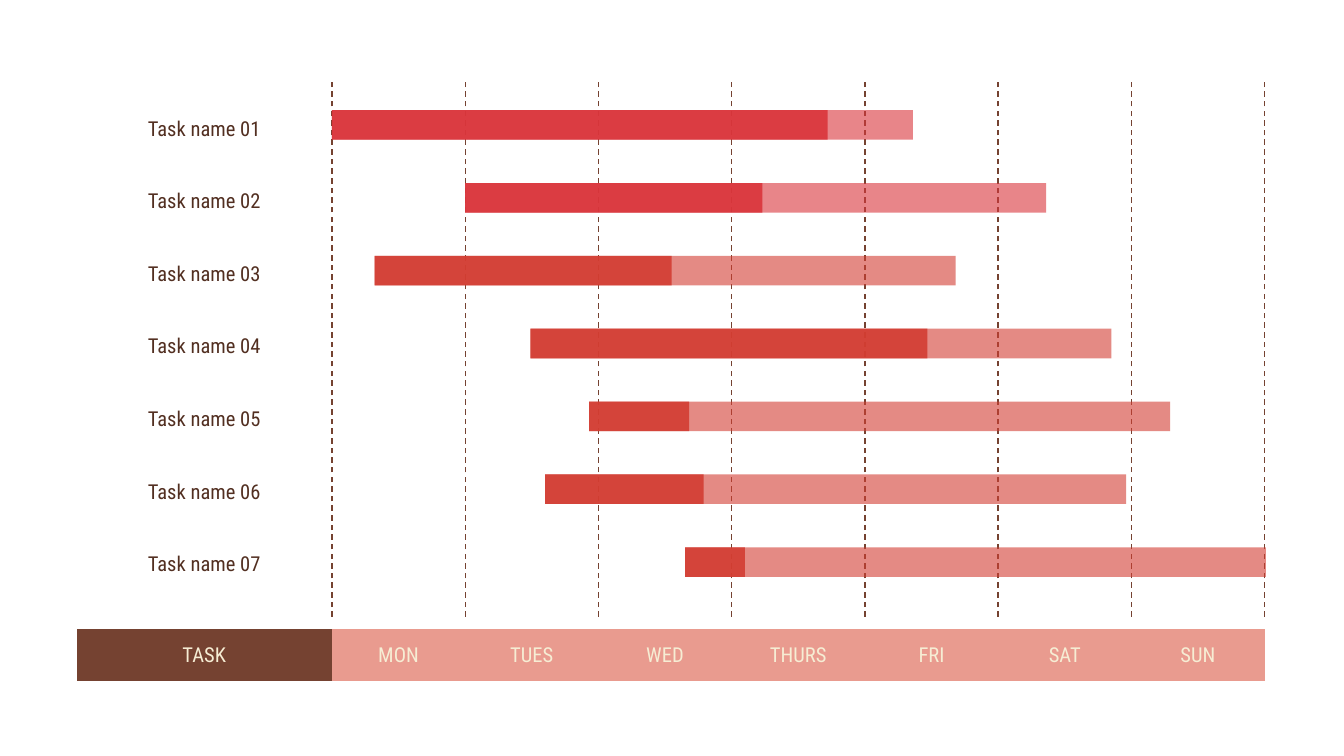
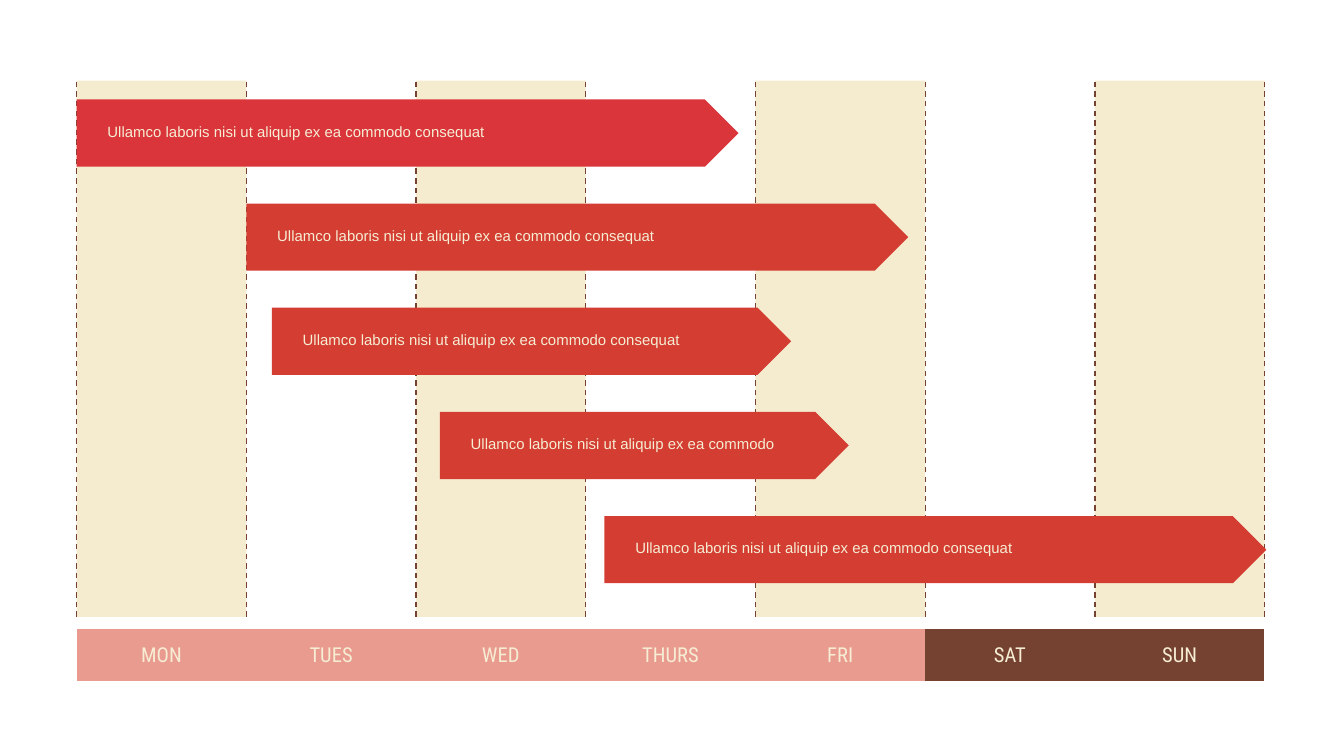
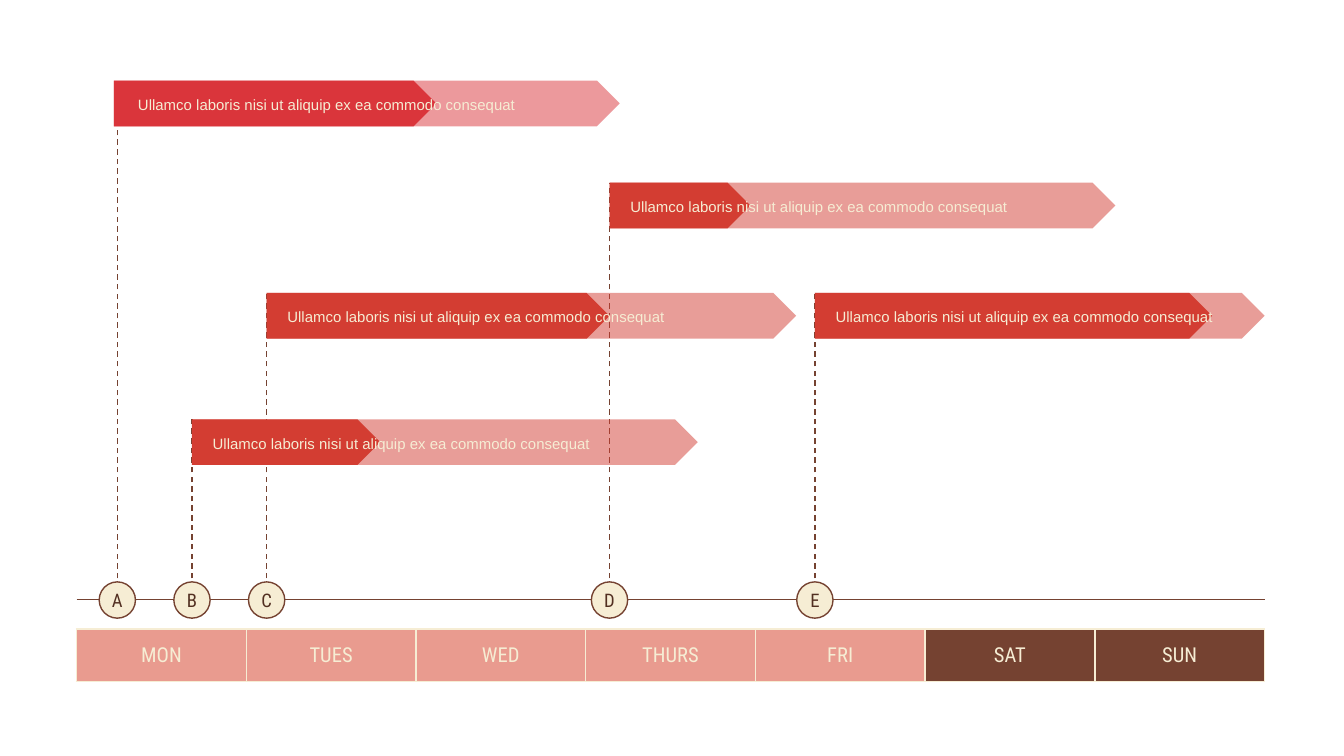
from lxml import etree
from pptx import Presentation
from pptx.dml.color import RGBColor
from pptx.enum.dml import MSO_LINE
from pptx.enum.shapes import MSO_CONNECTOR, MSO_SHAPE
from pptx.enum.text import MSO_ANCHOR, PP_ALIGN
from pptx.oxml.ns import qn
from pptx.util import Inches, Pt

STRAIGHT = MSO_CONNECTOR.STRAIGHT
RECTANGLE, ARROW, CIRCLE = MSO_SHAPE.RECTANGLE, MSO_SHAPE.PENTAGON, MSO_SHAPE.OVAL
DASH = MSO_LINE.DASH
MIDDLE = MSO_ANCHOR.MIDDLE
LEFT, CENTER = PP_ALIGN.LEFT, PP_ALIGN.CENTER

BROWN = RGBColor(0x75, 0x42, 0x31)
DARK_BROWN = RGBColor(0x52, 0x2F, 0x21)
PINK = RGBColor(0xE9, 0x9B, 0x8F)
CREAM = RGBColor(0xF6, 0xED, 0xD4)
SAND = RGBColor(0xED, 0xD8, 0x9E)
CRIMSON = RGBColor(0xDA, 0x35, 0x3B)
RED = RGBColor(0xD3, 0x3D, 0x32)

HEADING_FONT, BODY_FONT = "Roboto Condensed", "Arial"
MARGIN, RIGHT_EDGE, TOP, ROW = 0.57, 9.41, 0.6, 0.1
DAYS = ["MON", "TUES", "WED", "THURS", "FRI", "SAT", "SUN"]
WEEK_FILLS = [PINK] * 5 + [BROWN] * 2
CHART_ROWS, HEADER_ROW, HEADER_ROWS = 39.9, 40.8, 3.9
NOTE = "Ullamco laboris nisi ut aliquip ex ea commodo consequat"


class Planner:
    def __init__(self):
        self.deck = Presentation()
        self.deck.slide_width = Inches(10)
        self.deck.slide_height = Inches(5.625)
        self.start = self.day = 0
        self.page = None

    def new_page(self, start=MARGIN):
        self.page = self.deck.slides.add_slide(self.deck.slide_layouts[6])
        self.start = start
        self.day = (RIGHT_EDGE - start) / len(DAYS)

    def place(self, column, row):
        return Inches(self.start + column * self.day), Inches(TOP + row * ROW)

    def area(self, column, row, columns, rows):
        return *self.place(column, row), Inches(columns * self.day), Inches(rows * ROW)

    def shape(self, kind, area, color, opacity=100, outline=None, holder=None):
        shape = (holder or self.page).shapes.add_shape(kind, *self.area(*area))
        shape.shadow.inherit = False
        shape.fill.solid()
        shape.fill.fore_color.rgb = color
        if opacity < 100:
            paint = shape._element.spPr.find(qn("a:solidFill"))[0]
            etree.SubElement(paint, qn("a:alpha"), val=str(opacity * 1000))
        if outline is None:
            shape.line.fill.background()
        else:
            shape.line.color.rgb = outline
            shape.line.width = Pt(0.75)

    def add_span(self, para, words, font, size, color, align):
        para.alignment = align
        span = para.add_run()
        span.text = words
        span.font.name = font
        span.font.size = Pt(size)
        span.font.color.rgb = color

    def text(self, area, words, font, size, color, align=CENTER, holder=None):
        box = (holder or self.page).shapes.add_textbox(*self.area(*area))
        frame = box.text_frame
        frame.word_wrap = True
        frame.margin_left = frame.margin_right = Inches(0.02 if align == CENTER else 0.04)
        frame.margin_top = frame.margin_bottom = Inches(0.02)
        self.add_span(frame.paragraphs[0], words, font, size, color, align)

    def line(self, begin, end, dash=None):
        line = self.page.shapes.add_connector(STRAIGHT, *self.place(*begin), *self.place(*end))
        line.line.color.rgb = BROWN
        line.line.width = Pt(0.75)
        line.line.dash_style = dash
        etree.SubElement(line._element.spPr, qn("a:effectLst"))

    def day_lines(self):
        for column in range(len(DAYS) + 1):
            self.line((column, CHART_ROWS), (column, 0), DASH)

    def borders(self, cell, color):
        properties = cell._tc.get_or_add_tcPr()
        for index, side in enumerate(("lnL", "lnR", "lnT", "lnB")):
            edge = etree.Element(qn("a:" + side), w=str(Pt(1)))
            properties.insert(index, edge)
            if color is None:
                etree.SubElement(edge, qn("a:noFill"))
            else:
                fill = etree.SubElement(edge, qn("a:solidFill"))
                etree.SubElement(fill, qn("a:srgbClr"), val=str(color))

    def header(self, names, fills, widths, border=None):
        first = len(DAYS) - sum(widths)
        area = self.area(first, HEADER_ROW, sum(widths), HEADER_ROWS)
        table = self.page.shapes.add_table(1, len(names), *area).table
        table.first_row = table.horz_banding = False
        for index, (name, fill, width) in enumerate(zip(names, fills, widths)):
            table.columns[index].width = Inches(width * self.day)
            cell = table.cell(0, index)
            cell.fill.solid()
            cell.fill.fore_color.rgb = fill
            cell.vertical_anchor = MIDDLE
            cell.margin_left = cell.margin_right = Inches(0.04)
            cell.margin_top = cell.margin_bottom = Inches(0.02)
            self.add_span(cell.text_frame.paragraphs[0], name, HEADING_FONT, 11, CREAM, CENTER)
            self.borders(cell, border)

    def progress(self, kind, column, row, total, done, rows, color, opacities):
        group = self.page.shapes.add_group_shape()
        for length, opacity in zip((total, done), opacities):
            self.shape(kind, (column, row, length, rows), color, opacity, holder=group)
        return group

    def note(self, group, column, row, words=NOTE):
        self.text((column, row, 2.46, 1.8), words, BODY_FONT, 8, CREAM, LEFT, group)

    def milestone(self, letter, column, row):
        self.line((column, CHART_ROWS), (column, row), DASH)
        size = 0.27 / self.day
        self.shape(CIRCLE, (column - size / 2, 37.3, size, 2.7), CREAM, outline=BROWN)
        self.text((column - size / 2, 37.6, size, 2), letter, HEADING_FONT, 10, DARK_BROWN)


def task_page(plan):
    plan.new_page(2.47)
    label_width = (plan.start - MARGIN) / plan.day
    plan.header(["TASK"] + DAYS, [BROWN] + [PINK] * 7, [label_width] + [1] * 7)
    plan.day_lines()
    tasks = [(0, 3.72), (1, 2.23), (0.32, 2.23), (1.49, 2.98),
             (1.93, 0.75), (1.6, 1.19), (2.65, 0.45)]
    for index, (column, done) in enumerate(tasks):
        plan.text((-label_width, 2.4 + 5.4 * index, label_width, 2.2),
                  f"Task name {index + 1:02}", HEADING_FONT, 11, DARK_BROWN)
        color = CRIMSON if index < 2 else RED
        plan.progress(RECTANGLE, column, 2.2 + 5.42 * index, 4.36, done, 2.2, color, (60, 90))


def arrow_page(plan):
    plan.new_page()
    for column in range(0, len(DAYS), 2):
        plan.shape(RECTANGLE, (column, 0, 1, CHART_ROWS), SAND, 50)
    plan.header(DAYS, WEEK_FILLS, [1] * 7)
    plan.day_lines()
    arrows = [(0, 3.9, NOTE), (1, 3.9, NOTE), (1.15, 3.06, NOTE),
              (2.14, 2.41, "Ullamco laboris nisi ut aliquip ex ea commodo"), (3.11, 3.9, NOTE)]
    for index, (column, length, words) in enumerate(arrows):
        row = 1.4 + 7.75 * index
        group = plan.page.shapes.add_group_shape()
        plan.shape(ARROW, (column, row, length, 5), RED if index else CRIMSON, holder=group)
        plan.note(group, column + 0.15, row + 1.5, words)


def milestone_page(plan):
    plan.new_page()
    plan.line((0, 38.6), (len(DAYS), 38.6))
    steps = [("A", 0.24, 0.22, 0, 2.98, 1.9, 0.11, CRIMSON),
             ("B", 0.68, 0.68, 25.2, 2.98, 1.11, 0.09, RED),
             ("C", 1.12, 1.12, 15.8, 3.12, 2.02, 0.09, RED),
             ("D", 3.14, 3.14, 7.6, 2.98, 0.83, 0.09, RED),
             ("E", 4.35, 4.35, 15.8, 2.65, 2.34, 0.09, RED)]
    for letter, stem, _, row, *_ in steps:
        plan.milestone(letter, stem, row)
    plan.header(DAYS, WEEK_FILLS, [1] * 7, CREAM)
    for _, _, column, row, total, done, indent, color in steps:
        group = plan.progress(ARROW, column, row, total, done, 3.4, color, (50, 100))
        plan.note(group, column + indent, row + 0.9)


def main():
    plan = Planner()
    task_page(plan)
    arrow_page(plan)
    milestone_page(plan)
    plan.deck.save("out.pptx")


if __name__ == "__main__":
    main()
